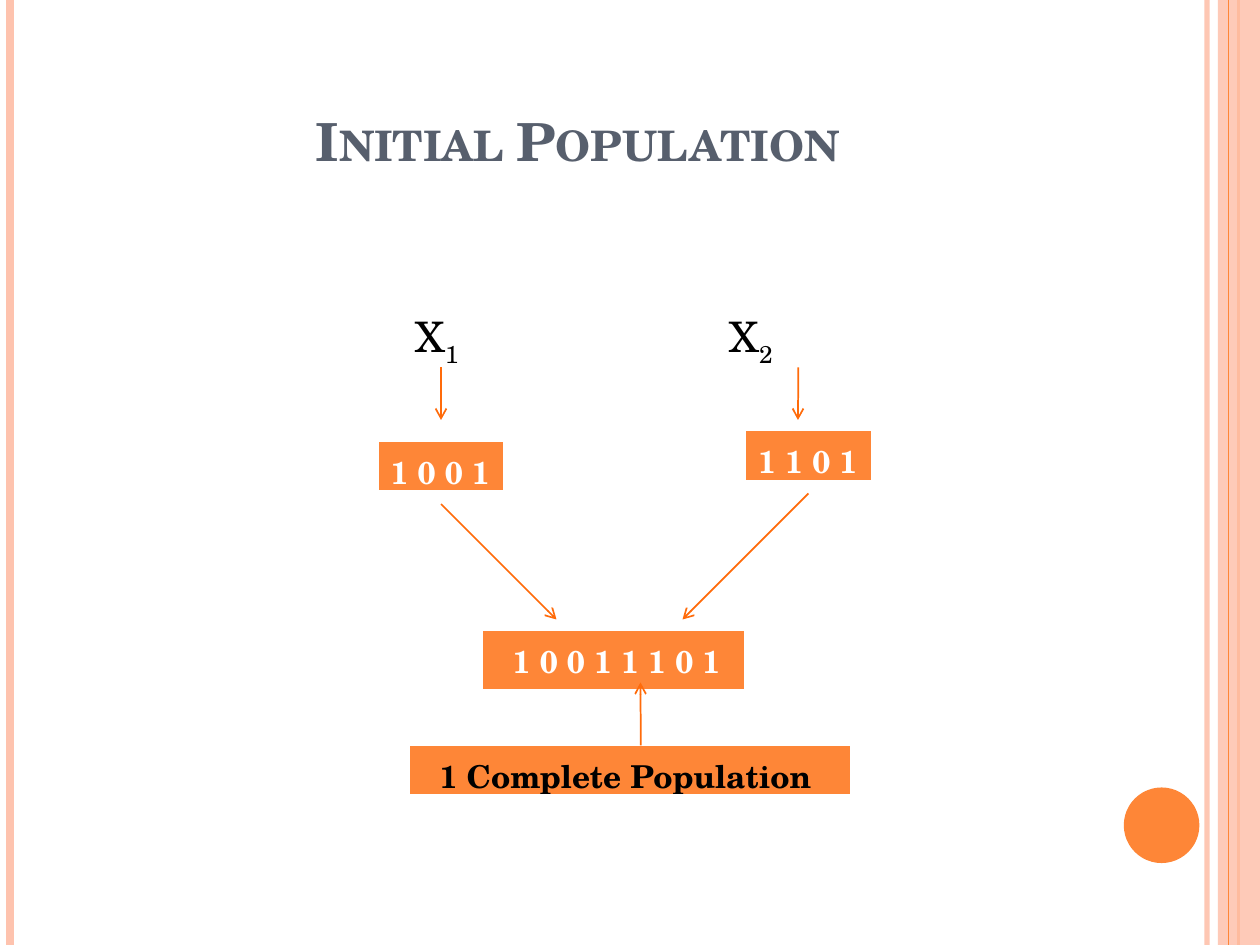
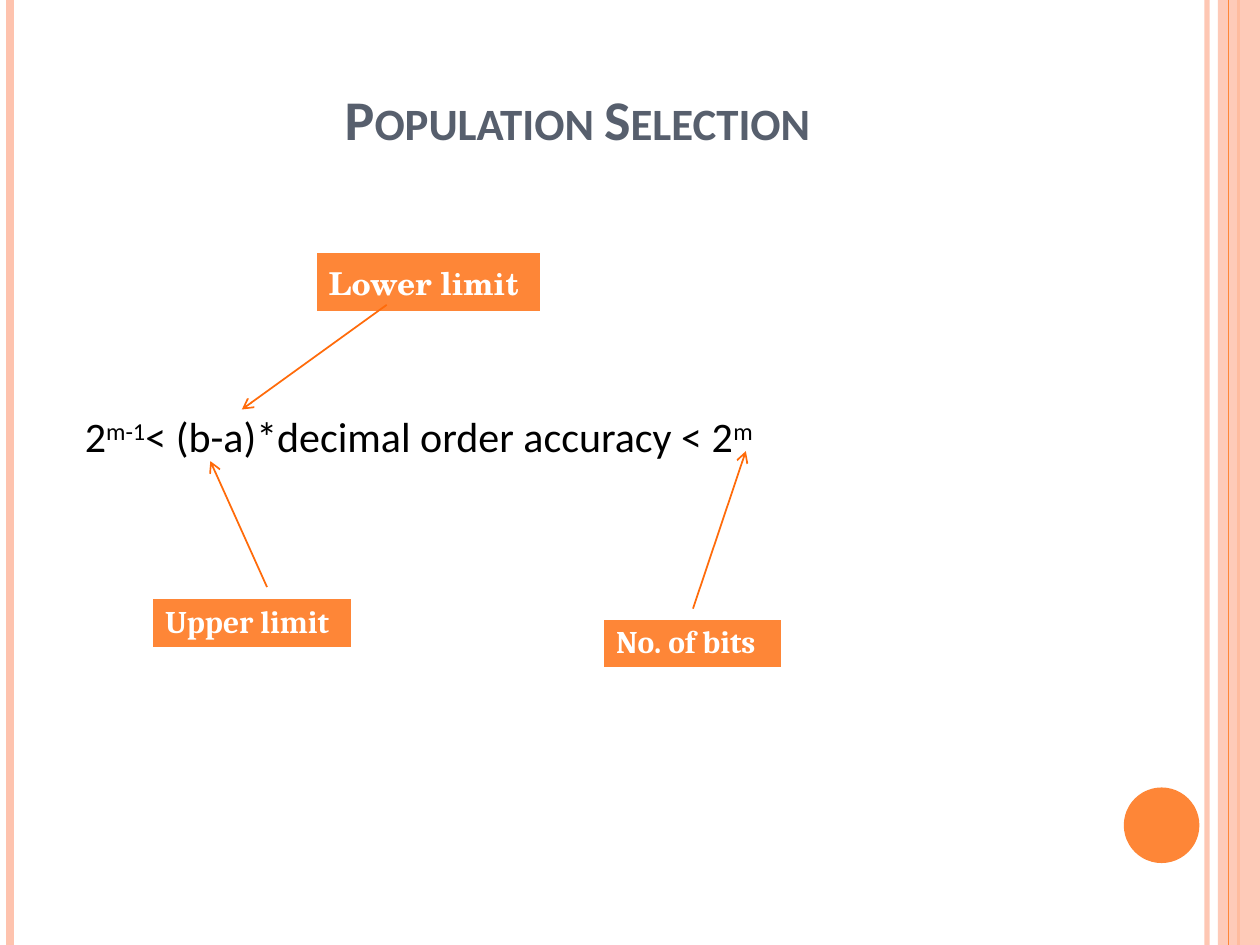
from dataclasses import dataclass

from lxml import etree
from pptx import Presentation
from pptx import util as u
from pptx.dml.color import RGBColor
from pptx.enum import shapes, text
from pptx.oxml import parse_xml
from pptx.oxml.ns import nsdecls, qn
from pptx.slide import Slide

ORANGE = RGBColor(0xFE, 0x86, 0x37)
ARROW_ORANGE = RGBColor(0xFF, 0x6B, 0x0A)
PEACH = RGBColor(0xFE, 0xC3, 0xAE)
SLATE = RGBColor(0x57, 0x5F, 0x6D)
BLACK = RGBColor(0, 0, 0)
WHITE = RGBColor(0xFF, 0xFF, 0xFF)

SCHOLA, CALIBRI, CAMBRIA = "TeX Gyre Schola", "Calibri", "Cambria"
SLIDE_WIDTH, SLIDE_HEIGHT = 720, 540
BORDERS = {"lnL": 1, "lnR": 1, "lnT": 1, "lnB": 3}
SUB, SUPER = -25, 30


@dataclass(frozen=True)
class Stripe:
    """A full-height vertical line of the slide frame."""
    x: float
    weight: float
    color: RGBColor
    opacity: int = 100


@dataclass(frozen=True)
class Label:
    """A filled one-cell table."""
    words: str
    left: float
    top: float
    width: float
    height: float = 28.8
    font: str = SCHOLA
    color: RGBColor = WHITE
    indent: float = 7.2
    foot: float = 3.6


@dataclass(frozen=True)
class Arrow:
    """A straight arrow between two points."""
    x1: float
    y1: float
    x2: float
    y2: float


STRIPES_BELOW_BAND = [
    Stripe(689.76, 3, PEACH, 93),
    Stripe(5.76, 4.5, PEACH),
    Stripe(707.76, 1.5, ORANGE),
]
STRIPE_ABOVE_BAND = Stripe(702, 0.75, ORANGE)

GENE_LABELS = [
    Label("1 0 0 1 1 1 0 1", 275.8, 360, 149.8, 34.9, indent=17.2),
    Label("1 0 0 1", 216, 252, 72, 29.5, foot=0),
    Label("1 1 0 1", 426, 246, 72, 29.5, foot=0),
    Label("1 Complete Population", 234, 426, 252, color=BLACK, indent=17.2, foot=0),
]
GENE_ARROWS = [
    Arrow(252, 210, 252, 240),
    Arrow(456.2, 210, 456, 240),
    Arrow(252, 288, 318, 354),
    Arrow(462, 282, 390, 354),
    Arrow(366.2, 426, 366, 390),
]
LIMIT_LABELS = [
    Label("Upper limit", 87.1, 342, 113.8, font=CAMBRIA),
    Label("No. of bits", 344.9, 353.8, 102, font=CAMBRIA),
    Label("Lower limit", 180.7, 144, 128.2, 34.9),
]
LIMIT_ARROWS = [
    Arrow(152.6, 335.5, 120.2, 263.5),
    Arrow(396, 347.8, 426.2, 257.8),
    Arrow(221, 174.2, 138.2, 234),
]


def add_run(paragraph, words: str, *, font: str, size: float, color: RGBColor,
            bold: bool = False, small_caps: bool = False, baseline: int = 0) -> None:
    """Append a formatted run, baseline being a shift in percent."""
    run = paragraph.add_run()
    run.text = words
    run.font.name, run.font.size, run.font.bold = font, u.Pt(size), bold
    run.font.color.rgb = color
    properties = run._r.get_or_add_rPr()
    if small_caps:
        properties.set("cap", "small")
    if baseline:
        properties.set("baseline", str(baseline * 1000))


def add_text_box(slide: Slide, left: float, top: float, width: float, height: float,
                 anchor=text.MSO_ANCHOR.TOP, align=text.PP_ALIGN.LEFT):
    """Add a wrapping text box and return its first paragraph."""
    frame = slide.shapes.add_textbox(*map(u.Pt, (left, top, width, height))).text_frame
    frame.word_wrap = True
    frame.vertical_anchor = anchor
    frame.paragraphs[0].alignment = align
    return frame.paragraphs[0]


def set_opacity(properties, percent: int) -> None:
    """Make the solid colour inside the given element translucent."""
    color = next(properties.iter(qn("a:srgbClr")))
    etree.SubElement(color, qn("a:alpha")).set("val", str(percent * 1000))


def add_line(slide: Slide, x1: float, y1: float, x2: float, y2: float,
             color: RGBColor, weight: float):
    """Add a straight line without a shadow."""
    line = slide.shapes.add_connector(shapes.MSO_CONNECTOR.STRAIGHT,
                                      *map(u.Pt, (x1, y1, x2, y2)))
    line.line.color.rgb, line.line.width = color, u.Pt(weight)
    etree.SubElement(line._element.spPr, qn("a:effectLst"))
    return line


def add_stripe(slide: Slide, stripe: Stripe) -> None:
    """Draw one stripe of the frame."""
    line = add_line(slide, stripe.x, 0, stripe.x, SLIDE_HEIGHT, stripe.color, stripe.weight)
    if stripe.opacity < 100:
        set_opacity(line.line._ln, stripe.opacity)


def add_arrow(slide: Slide, arrow: Arrow) -> None:
    """Draw an arrow with an open head at its end."""
    line = add_line(slide, arrow.x1, arrow.y1, arrow.x2, arrow.y2, ARROW_ORANGE, 1)
    etree.SubElement(line.line._ln, qn("a:tailEnd")).set("type", "arrow")


def add_filled(slide: Slide, kind, left: float, top: float, width: float,
               height: float, color: RGBColor):
    """Add a preset shape with a plain fill."""
    shape = slide.shapes.add_shape(kind, *map(u.Pt, (left, top, width, height)))
    shape.shadow.inherit = False
    shape.fill.solid()
    shape.fill.fore_color.rgb = color
    shape.line.fill.background()
    return shape


def add_label(slide: Slide, label: Label) -> None:
    """Draw a label as a one-cell table with white borders."""
    table = slide.shapes.add_table(
        1, 1, *map(u.Pt, (label.left, label.top, label.width, label.height))).table
    table.first_row = table.horz_banding = False
    cell = table.cell(0, 0)
    cell.margin_left, cell.margin_bottom = u.Pt(label.indent), u.Pt(label.foot)
    for side, weight in BORDERS.items():
        cell._tc.get_or_add_tcPr().append(parse_xml(
            f'<a:{side} {nsdecls("a")} w="{u.Pt(weight)}"><a:solidFill>'
            f'<a:srgbClr val="{WHITE}"/></a:solidFill></a:{side}>'))
    cell.fill.solid()
    cell.fill.fore_color.rgb = ORANGE
    add_run(cell.text_frame.paragraphs[0], label.words, font=label.font, size=18,
            color=label.color, bold=True)


def add_framed_slide(deck, title: str, title_top: float, font: str, size: float) -> Slide:
    """Add a slide with the shared frame and a title."""
    slide = deck.slides.add_slide(deck.slide_layouts[6])
    for stripe in STRIPES_BELOW_BAND:
        add_stripe(slide, stripe)
    band = add_filled(slide, shapes.MSO_SHAPE.RECTANGLE, 696, 0, SLIDE_WIDTH - 696,
                      SLIDE_HEIGHT, PEACH)
    set_opacity(band._element.spPr, 87)
    add_stripe(slide, STRIPE_ABOVE_BAND)
    add_filled(slide, shapes.MSO_SHAPE.OVAL, 642.2, 450, 43.2, 43.2, ORANGE)
    heading = add_text_box(slide, 36, title_top, 588, 90,
                           text.MSO_ANCHOR.BOTTOM, text.PP_ALIGN.CENTER)
    add_run(heading, title, font=font, size=size, color=SLATE, bold=True, small_caps=True)
    return slide


def add_diagram(slide: Slide, labels: list[Label], arrows: list[Arrow]) -> None:
    """Draw the labels and the arrows over them."""
    for label in labels:
        add_label(slide, label)
    for arrow in arrows:
        add_arrow(slide, arrow)


def build_initial_population(deck) -> None:
    """Build the slide that joins two genes into one population."""
    slide = add_framed_slide(deck, "Initial Population", 12, SCHOLA, 30)
    for index, left in (("1", 230.4), ("2", 409.8)):
        variable = add_text_box(slide, left, 174, 54, 36)
        add_run(variable, "X", font=SCHOLA, size=24, color=BLACK)
        add_run(variable, index, font=SCHOLA, size=24, color=BLACK, baseline=SUB)
    add_diagram(slide, GENE_LABELS, GENE_ARROWS)


def build_population_selection(deck) -> None:
    """Build the slide that explains the bit-length formula."""
    slide = add_framed_slide(deck, "Population Selection", 0, CALIBRI, 32)
    formula = add_text_box(slide, 41.4, 231.3, 582.6, 36)
    for words, shift in (("2", 0), ("m-1", SUPER),
                         ("< (b-a)*decimal order accuracy < 2", 0), ("m", SUPER)):
        add_run(formula, words, font=CALIBRI, size=24, color=BLACK, baseline=shift)
    add_diagram(slide, LIMIT_LABELS, LIMIT_ARROWS)


def main() -> None:
    """Build and save the presentation."""
    deck = Presentation()
    deck.slide_width, deck.slide_height = u.Pt(SLIDE_WIDTH), u.Pt(SLIDE_HEIGHT)
    build_initial_population(deck)
    build_population_selection(deck)
    deck.save("out.pptx")


if __name__ == "__main__":
    main()
